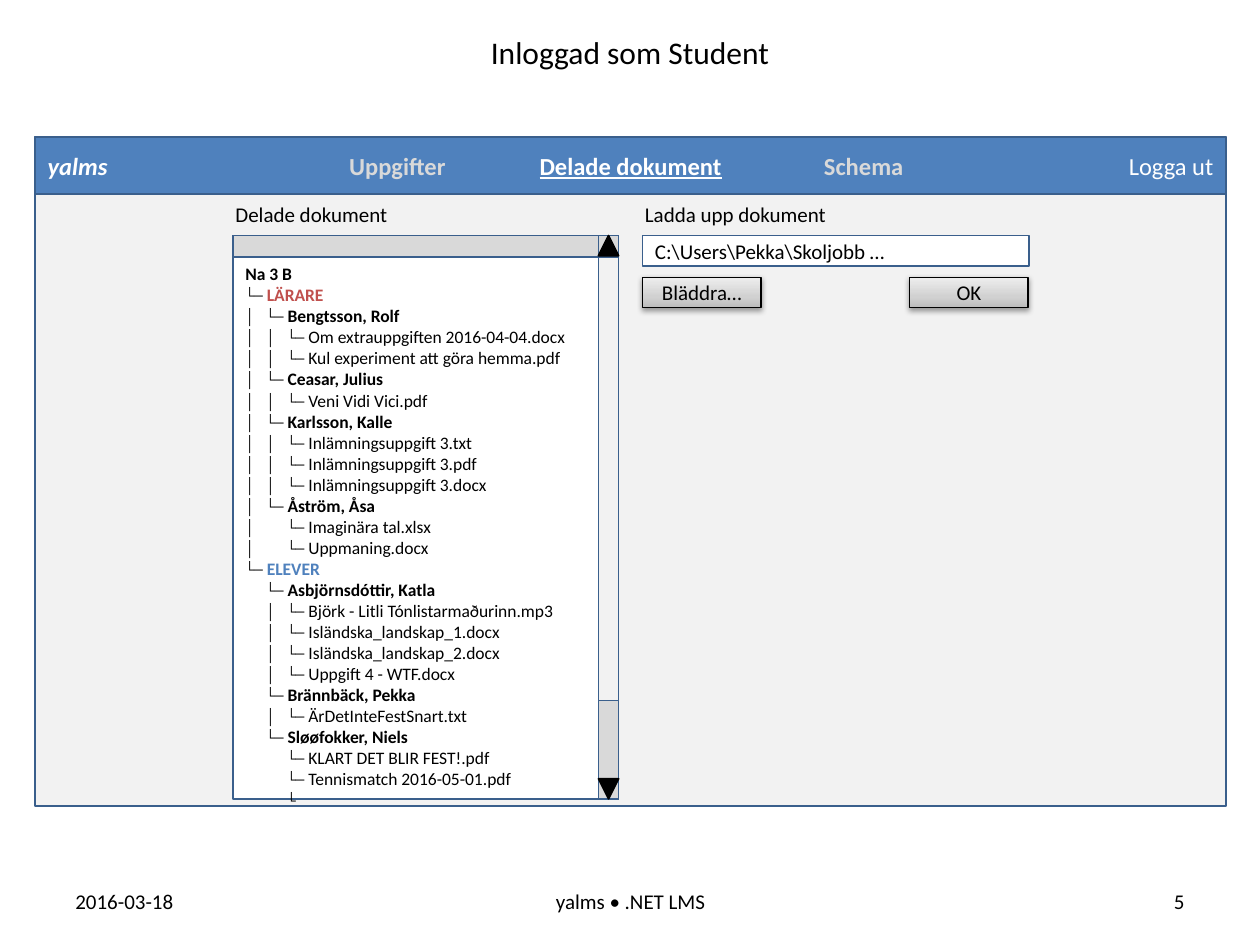
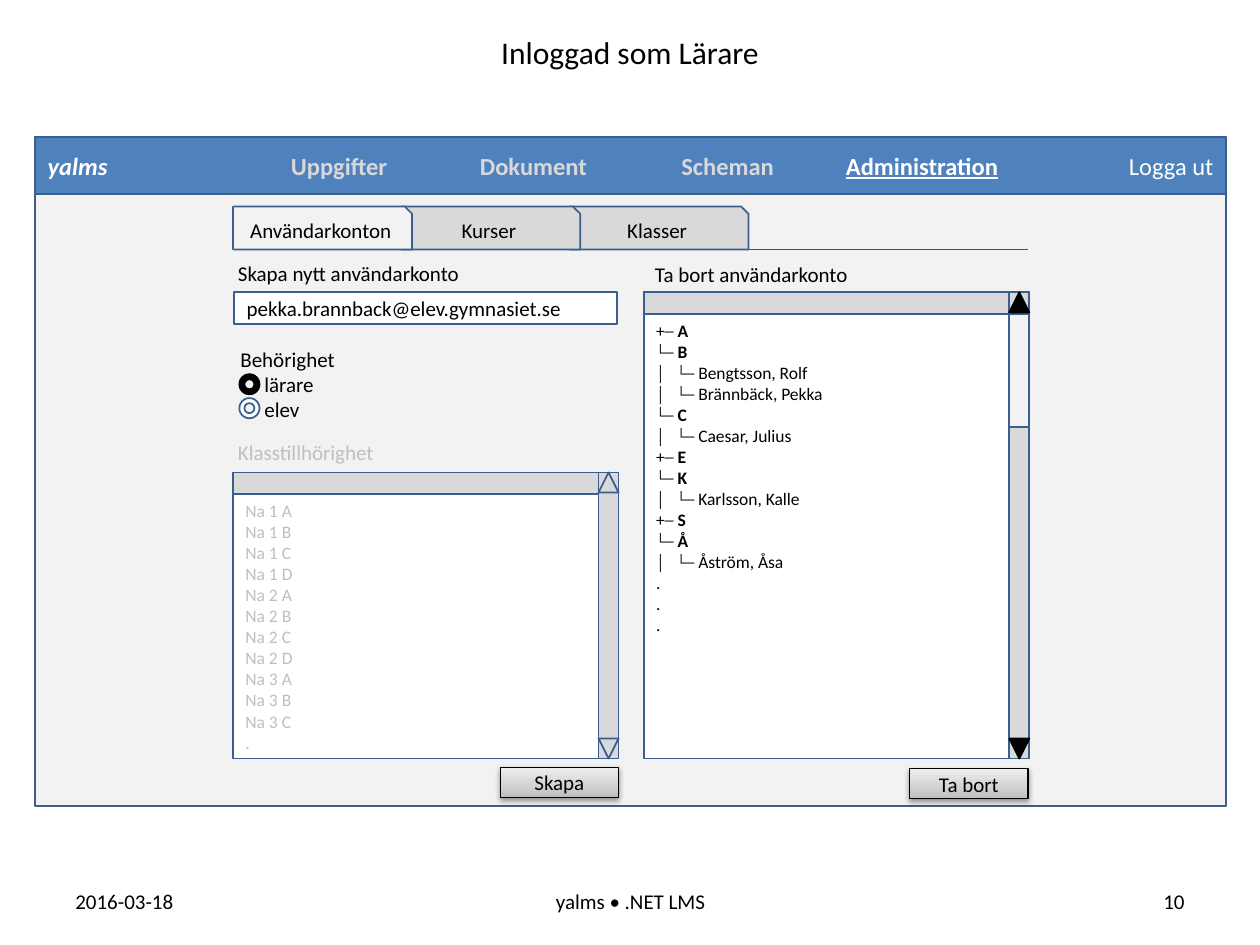
from pptx import Presentation
from pptx.dml.color import RGBColor
from pptx.enum.shapes import MSO_CONNECTOR, MSO_SHAPE as SHAPE
from pptx.enum.text import MSO_ANCHOR as ANCHOR, PP_ALIGN as ALIGN
from pptx.oxml import parse_xml
from pptx.oxml.ns import nsdecls, qn
from pptx.util import Inches, Pt

# Shared look
FONT = "Calibri"
BLACK, WHITE = "000000", "FFFFFF"
BLUE, EDGE, RED, PURPLE = "4F81BD", "3A5F8C", "C0504D", "7030A0"
PANEL, GREY, FADED = "F2F2F2", "D9D9D9", "BFBFBF"
GROUP_COLORS = {"LÄRARE": RED, "ELEVER": BLUE}
WINDOW = (0.28, 1.09, 9.45, 5.31)
NAV_H = 0.45
BAR = 0.16  # width of a scroll bar
LEVEL = 0.165  # indent of one tree level

STUDENT_TREE = [
    "Na 3 B",
    "└─ LÄRARE",
    "│└─ Bengtsson, Rolf",
    "││└─ Om extrauppgiften 2016-04-04.docx",
    "││└─ Kul experiment att göra hemma.pdf",
    "│└─ Ceasar, Julius",
    "││└─ Veni Vidi Vici.pdf",
    "│└─ Karlsson, Kalle",
    "││└─ Inlämningsuppgift 3.txt",
    "││└─ Inlämningsuppgift 3.pdf",
    "││└─ Inlämningsuppgift 3.docx",
    "│└─ Åström, Åsa",
    "│ └─ Imaginära tal.xlsx",
    "│ └─ Uppmaning.docx",
    "└─ ELEVER",
    " └─ Asbjörnsdóttir, Katla",
    " │└─ Björk - Litli Tónlistarmaðurinn.mp3",
    " │└─ Isländska_landskap_1.docx",
    " │└─ Isländska_landskap_2.docx",
    " │└─ Uppgift 4 - WTF.docx",
    " └─ Brännbäck, Pekka",
    " │└─ ÄrDetInteFestSnart.txt",
    " └─ Sløøfokker, Niels",
    "  └─ KLART DET BLIR FEST!.pdf",
    "  └─ Tennismatch 2016-05-01.pdf",
    "  └",
]
ACCOUNT_TREE = [
    "+─ A", "└─ B", "│└─ Bengtsson, Rolf", "│└─ Brännbäck, Pekka",
    "└─ C", "│└─ Caesar, Julius", "+─ E", "└─ K", "│└─ Karlsson, Kalle",
    "+─ S", "└─ Å", "│└─ Åström, Åsa", ".", ".", ".",
]
CLASSES = ["Na 1 A", "Na 1 B", "Na 1 C", "Na 1 D", "Na 2 A", "Na 2 B",
           "Na 2 C", "Na 2 D", "Na 3 A", "Na 3 B", "Na 3 C", "."]


def rgb(hex_color):
    return RGBColor.from_string(hex_color)


def style(font, size, color=BLACK, bold=False):
    font.name, font.size, font.bold = FONT, Pt(size), bold
    font.color.rgb = rgb(color)


def add_tabs(p, stops):
    tabs = "".join(f'<a:tab pos="{Inches(stop)}" algn="l"/>' for stop in stops)
    p._p.get_or_add_pPr().append(
        parse_xml(f'<a:tabLst {nsdecls("a")}>{tabs}</a:tabLst>'))


def add_box(s, box, fill=WHITE, line=EDGE, kind=SHAPE.RECTANGLE, width=1):
    sp = s.shapes.add_shape(kind, *map(Inches, box))
    sp.shadow.inherit = False
    sp.fill.solid()
    sp.fill.fore_color.rgb = rgb(fill)
    sp.line.color.rgb = rgb(line)
    sp.line.width = Pt(width)
    return sp


def set_text(sp, text, align=ALIGN.LEFT, anchor=ANCHOR.MIDDLE, color=BLACK):
    tf = sp.text_frame
    tf.word_wrap = True
    tf.vertical_anchor = anchor
    tf.text = text
    for p in tf.paragraphs:
        p.alignment = align
        for r in p.runs:
            style(r.font, 12, color)
    return tf


def add_label(s, box, text, align=ALIGN.LEFT, anchor=ANCHOR.TOP, color=BLACK):
    tb = s.shapes.add_textbox(*map(Inches, box))
    return set_text(tb, text, align, anchor, color)


def add_button(s, x, y, text):
    sp = add_box(s, (x, y, 0.94, 0.24), line=BLACK, width=0.75)
    set_text(sp, text, ALIGN.CENTER)
    # Three-stop gradient and soft drop shadow
    sp.fill.background()
    spPr = sp.element.spPr
    stops = "".join(f'<a:gs pos="{pos}"><a:srgbClr val="{c}"/></a:gs>' for pos, c
                    in ((0, "BDBDBD"), (35000, "D1D1D1"), (100000, "EEEEEE")))
    spPr.replace(spPr.find(qn("a:noFill")), parse_xml(
        f'<a:gradFill {nsdecls("a")} rotWithShape="1"><a:gsLst>{stops}</a:gsLst>'
        '<a:lin ang="16200000" scaled="0"/></a:gradFill>'))
    spPr.find(qn("a:effectLst")).append(parse_xml(
        f'<a:outerShdw {nsdecls("a")} blurRad="40000" dist="20000" dir="5400000" '
        'rotWithShape="0"><a:srgbClr val="000000"><a:alpha val="38000"/>'
        '</a:srgbClr></a:outerShdw>'))


def add_input(s, box, text):
    set_text(add_box(s, box), text)


def write_tree_line(p, line, leaf_depth, color):
    """Each leading rail fills one tab column; groups above the leaves are bold."""
    item = line.lstrip("│ ")
    rails = line[:len(line) - len(item)]
    branch, dash, name = item.rpartition("─ ")
    add_tabs(p, [LEVEL * (i + 1) for i in range(3)])
    prefix = "".join(rail.strip() + "\t" for rail in rails) + branch + dash
    if prefix:
        r = p.add_run()
        r.text = prefix
        style(r.font, 10, color)
    r = p.add_run()
    r.text = name
    bold = len(rails) < leaf_depth and name != "."
    style(r.font, 10, GROUP_COLORS.get(name, color), bold)


def add_scroll_list(s, box, lines, leaf_depth=0, trough=0, enabled=True):
    x, y, w, h = box
    color = BLACK if enabled else FADED
    # Content
    tf = add_box(s, box).text_frame
    tf.word_wrap = True
    tf.vertical_anchor = ANCHOR.TOP
    tf.margin_top = Inches(0.22)
    for i, line in enumerate(lines):
        p = tf.add_paragraph() if i else tf.paragraphs[0]
        p.alignment = ALIGN.LEFT
        write_tree_line(p, line, leaf_depth, color)
    # Header and scroll bar
    bar_x = x + w - BAR
    add_box(s, (x, y, w, 0.17), GREY)
    add_box(s, (bar_x, y, BAR, h), GREY)
    if trough:
        add_box(s, (bar_x, y + 0.17, BAR, trough), PANEL)
    fill, line = (BLACK, BLACK) if enabled else (GREY, EDGE)
    for arrow_y, turn in ((y, 0), (y + h - BAR, 180)):
        arrow = add_box(s, (bar_x, arrow_y, BAR, BAR), fill, line,
                        SHAPE.ISOSCELES_TRIANGLE)
        arrow.rotation = turn


def add_nav(s, box, items, active):
    sp = add_box(s, box, BLUE)
    tf = set_text(sp, "\n".join(items), ALIGN.CENTER)
    sp.element.txBody.find(qn("a:bodyPr")).set("numCol", str(len(items)))
    first, last = tf.paragraphs[0], tf.paragraphs[-1]
    for p in tf.paragraphs:
        font = p.runs[0].font
        bright = p.text in (first.text, active, last.text)
        style(font, 14, WHITE if bright else GREY, p.text != last.text)
        font.underline = p.text == active
    first.alignment, last.alignment = ALIGN.LEFT, ALIGN.RIGHT
    first.runs[0].font.italic = True


def add_tab_row(s, x, y, names):
    w, h, step = 1.42, 0.34, 1.335
    # The first tab is active and lies in front
    for i, name in reversed(list(enumerate(names))):
        tab = add_box(s, (x + i * step, y, w, h), GREY if i else PANEL,
                      kind=SHAPE.SNIP_1_RECTANGLE)
        set_text(tab, name, ALIGN.CENTER)
    start = x + step * (len(names) - 1) + w
    rule = s.shapes.add_connector(MSO_CONNECTOR.STRAIGHT, Inches(start),
                                  Inches(y + h), Inches(8.16), Inches(y + h))
    rule.line.color.rgb = rgb(PURPLE)
    rule.line.width = Pt(1)
    rule.element.spPr.append(parse_xml(f'<a:effectLst {nsdecls("a")}/>'))


def add_radio_group(s, x, y, title, options, chosen):
    tf = add_label(s, (x, y, 1.44, 0.78), "\n".join([title, *("\t" + o for o in options)]))
    for i, option in enumerate(options):
        add_tabs(tf.paragraphs[i + 1], [0.19])
        fill, line = (BLACK, BLACK) if option == chosen else (WHITE, EDGE)
        add_box(s, (x + 0.09, y + 0.27 + 0.19 * i, 0.16, 0.16), fill, line, SHAPE.DONUT)


def add_page(prs, title, number, nav, active):
    s = prs.slides.add_slide(prs.slide_layouts[5])
    # Title
    sp = s.shapes.title
    sp.left, sp.top, sp.width, sp.height = map(Inches, (0, 0.21, 10, 0.4))
    tf = set_text(sp, title, ALIGN.CENTER, ANCHOR.TOP)
    style(tf.paragraphs[0].runs[0].font, 18)
    # Footer
    for x, w, text, align in ((0.5, 2.33, "2016-03-18", ALIGN.LEFT),
                              (3.42, 3.17, "yalms • .NET LMS", ALIGN.CENTER),
                              (7.17, 2.33, str(number), ALIGN.RIGHT)):
        add_label(s, (x, 6.95, w, 0.4), text, align, ANCHOR.MIDDLE)
    # Application window
    x, y, w, _ = WINDOW
    add_box(s, WINDOW, PANEL)
    add_nav(s, (x, y, w, NAV_H), ["yalms", *nav, "Logga ut"], active)
    return s


def add_shared_documents(s, x, y):
    add_label(s, (x - 0.08, y, 2.01, 0.3), "Delade dokument")
    add_scroll_list(s, (x, y + 0.32, 3.06, 4.47), STUDENT_TREE, 2, 3.52)


def add_upload(s, x, y):
    add_label(s, (x - 0.08, y, 2.01, 0.3), "Ladda upp dokument")
    add_button(s, x + 2.12, y + 0.65, "OK")
    add_button(s, x, y + 0.65, "Bläddra…")
    add_input(s, (x, y + 0.32, 3.07, 0.24), "C:\\Users\\Pekka\\Skoljobb …")


def add_create_account(s, x, y):
    add_label(s, (x - 0.06, y, 2.83, 0.3), "Skapa nytt användarkonto")
    add_input(s, (x + 0.01, y + 0.3, 3.04, 0.25), "pekka.brannback@elev.gymnasiet.se")
    add_radio_group(s, x - 0.04, y + 0.68, "Behörighet", ["lärare", "elev"], "lärare")
    add_label(s, (x - 0.06, y + 1.42, 2.83, 0.3), "Klasstillhörighet", color=FADED)
    add_scroll_list(s, (x, y + 1.73, 3.06, 2.27), CLASSES, enabled=False)
    add_button(s, x + 2.12, y + 4.07, "Skapa")


def add_remove_account(s, x, y):
    add_label(s, (x - 0.01, y + 0.01, 2.83, 0.3), "Ta bort användarkonto")
    add_scroll_list(s, (x, y + 0.3, 3.06, 3.7), ACCOUNT_TREE, 1, 0.9)
    add_button(s, x + 2.11, y + 4.08, "Ta bort")


def main():
    prs = Presentation()
    prs.slide_width, prs.slide_height = Inches(10), Inches(7.5)

    s = add_page(prs, "Inloggad som Student", 5,
                 ["Uppgifter", "Delade dokument", "Schema"], "Delade dokument")
    add_shared_documents(s, 1.85, 1.55)
    add_upload(s, 5.1, 1.55)

    s = add_page(prs, "Inloggad som Lärare", 10,
                 ["Uppgifter", "Dokument", "Scheman", "Administration"], "Administration")
    add_tab_row(s, 1.85, 1.64, ["Användarkonton", "Kurser", "Klasser"])
    add_create_account(s, 1.85, 2.02)
    add_remove_account(s, 5.11, 2.02)

    prs.save("out.pptx")


if __name__ == "__main__":
    main()
